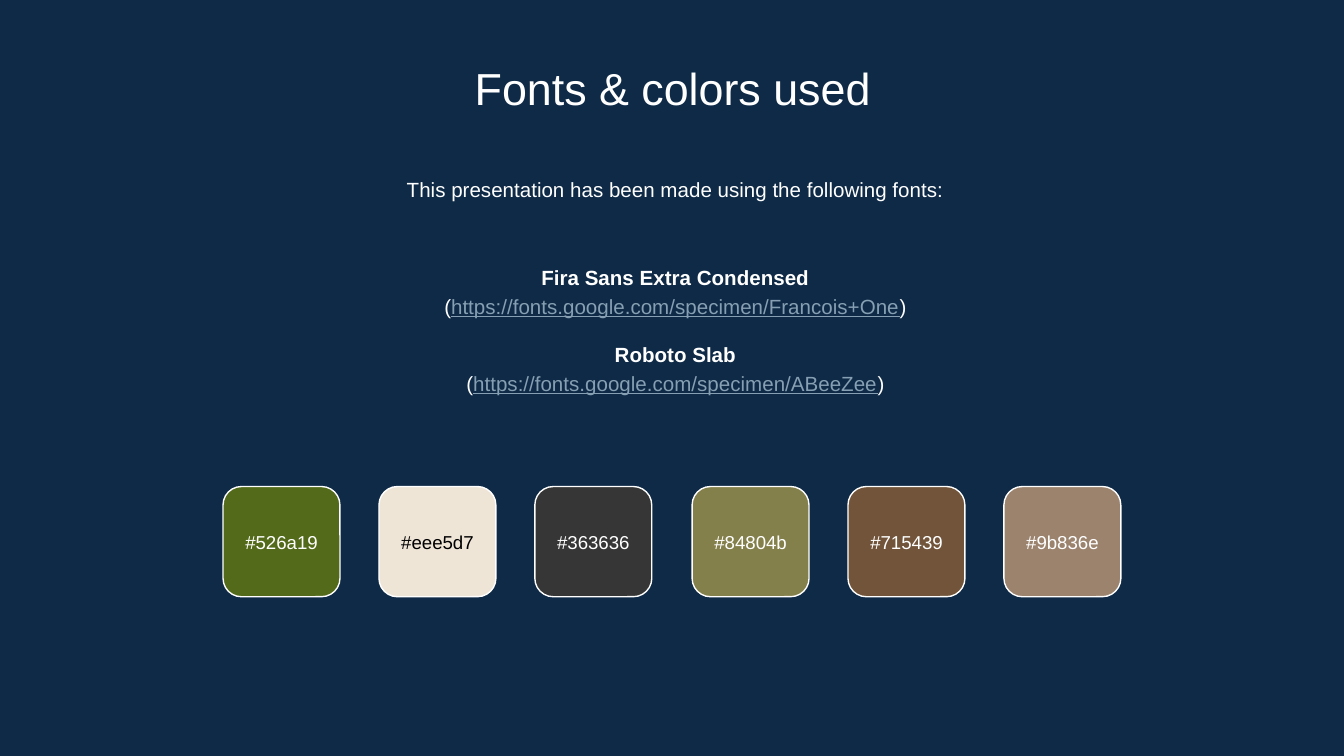
"""Build the fonts and colors slide with its palette of labelled swatches."""
from typing import NamedTuple

from pptx import Presentation
from pptx import util as u
from pptx.dml.color import RGBColor
from pptx.enum import shapes, text

COLORS = {"background": "0E2A47", "white": "FFFFFF", "black": "000000", "link": "869FB2"}
FRAME_FORMAT = {
    "word_wrap": True,
    "auto_size": text.MSO_AUTO_SIZE.NONE,
    "margin_left": u.Inches(0.1),
    "margin_right": u.Inches(0.1),
    "margin_top": u.Inches(0.1),
    "margin_bottom": u.Inches(0.1),
}
SWATCH_LEFT, SWATCH_TOP, SWATCH_STEP = 1.66, 3.62, 1.162
SWATCH_WIDTH, SWATCH_HEIGHT, LABEL_HEIGHT = 0.87, 0.82, 0.48


class Box(NamedTuple):
    left: float
    top: float
    width: float
    height: float


class Run(NamedTuple):
    content: str
    color: str = "white"
    bold: bool = False
    underline: bool = False


class Line(NamedTuple):
    runs: list[Run]
    space_before: float = 0


class Swatch(NamedTuple):
    code: str
    label_color: str = "white"


SWATCHES = [
    Swatch("#526a19"),
    Swatch("#eee5d7", "black"),
    Swatch("#363636"),
    Swatch("#84804b"),
    Swatch("#715439"),
    Swatch("#9b836e"),
]


def rgb(hex_color: str) -> RGBColor:
    return RGBColor.from_string(hex_color.upper())


def apply_format(target: object, values: dict) -> None:
    for name, value in values.items():
        setattr(target, name, value)


def add_text(slide, box: Box, lines: list[Line], size: float,
             anchor=text.MSO_ANCHOR.TOP, line_spacing: float = 1.0) -> None:
    frame = slide.shapes.add_textbox(*map(u.Inches, box)).text_frame
    apply_format(frame, FRAME_FORMAT | {"vertical_anchor": anchor})
    for index, line in enumerate(lines):
        paragraph = frame.add_paragraph() if index else frame.paragraphs[0]
        apply_format(paragraph, {
            "alignment": text.PP_ALIGN.CENTER,
            "line_spacing": line_spacing,
            "space_before": u.Pt(line.space_before),
        })
        for part in line.runs:
            run = paragraph.add_run()
            run.text = part.content
            apply_format(run.font, {
                "name": "Arial",
                "size": u.Pt(size),
                "bold": part.bold,
                "underline": part.underline,
            })
            run.font.color.rgb = rgb(COLORS[part.color])


def font_entry(name: str, address: str, space_before: float = 0) -> list[Line]:
    return [
        Line([Run(name, bold=True)], space_before),
        Line([Run("("), Run(address, "link", underline=True), Run(")")]),
    ]


def add_swatch(slide, swatch: Swatch, left: float) -> None:
    box = Box(left, SWATCH_TOP, SWATCH_WIDTH, SWATCH_HEIGHT)
    shape = slide.shapes.add_shape(shapes.MSO_SHAPE.ROUNDED_RECTANGLE, *map(u.Inches, box))
    shape.shadow.inherit = False
    shape.fill.solid()
    shape.fill.fore_color.rgb = rgb(swatch.code.lstrip("#"))
    shape.line.color.rgb = rgb(COLORS["white"])
    shape.line.width = u.Pt(0.75)
    label_top = SWATCH_TOP + (SWATCH_HEIGHT - LABEL_HEIGHT) / 2
    add_text(slide, Box(left, label_top, SWATCH_WIDTH, LABEL_HEIGHT),
             [Line([Run(swatch.code, swatch.label_color)])], 10, text.MSO_ANCHOR.MIDDLE)


def main() -> None:
    presentation = Presentation()
    presentation.slide_width = u.Inches(10)
    presentation.slide_height = u.Inches(5.625)
    slide = presentation.slides.add_slide(presentation.slide_layouts[6])
    slide.background.fill.solid()
    slide.background.fill.fore_color.rgb = rgb(COLORS["background"])

    add_text(slide, Box(1.15, 0.35, 7.71, 0.53), [Line([Run("Fonts & colors used")])], 24)
    introduction = "This presentation has been made using the following fonts:"
    add_text(slide, Box(1.17, 1.19, 7.71, 0.48), [Line([Run(introduction)])], 11,
             line_spacing=1.15)
    fonts = font_entry("Fira Sans Extra Condensed",
                       "https://fonts.google.com/specimen/Francois+One")
    fonts += font_entry("Roboto Slab", "https://fonts.google.com/specimen/ABeeZee", 11)
    add_text(slide, Box(1.17, 1.76, 7.71, 1.37), fonts, 11, text.MSO_ANCHOR.MIDDLE, 1.15)

    for index, swatch in enumerate(SWATCHES):
        add_swatch(slide, swatch, round(SWATCH_LEFT + index * SWATCH_STEP, 2))
    presentation.save("out.pptx")


if __name__ == "__main__":
    main()
